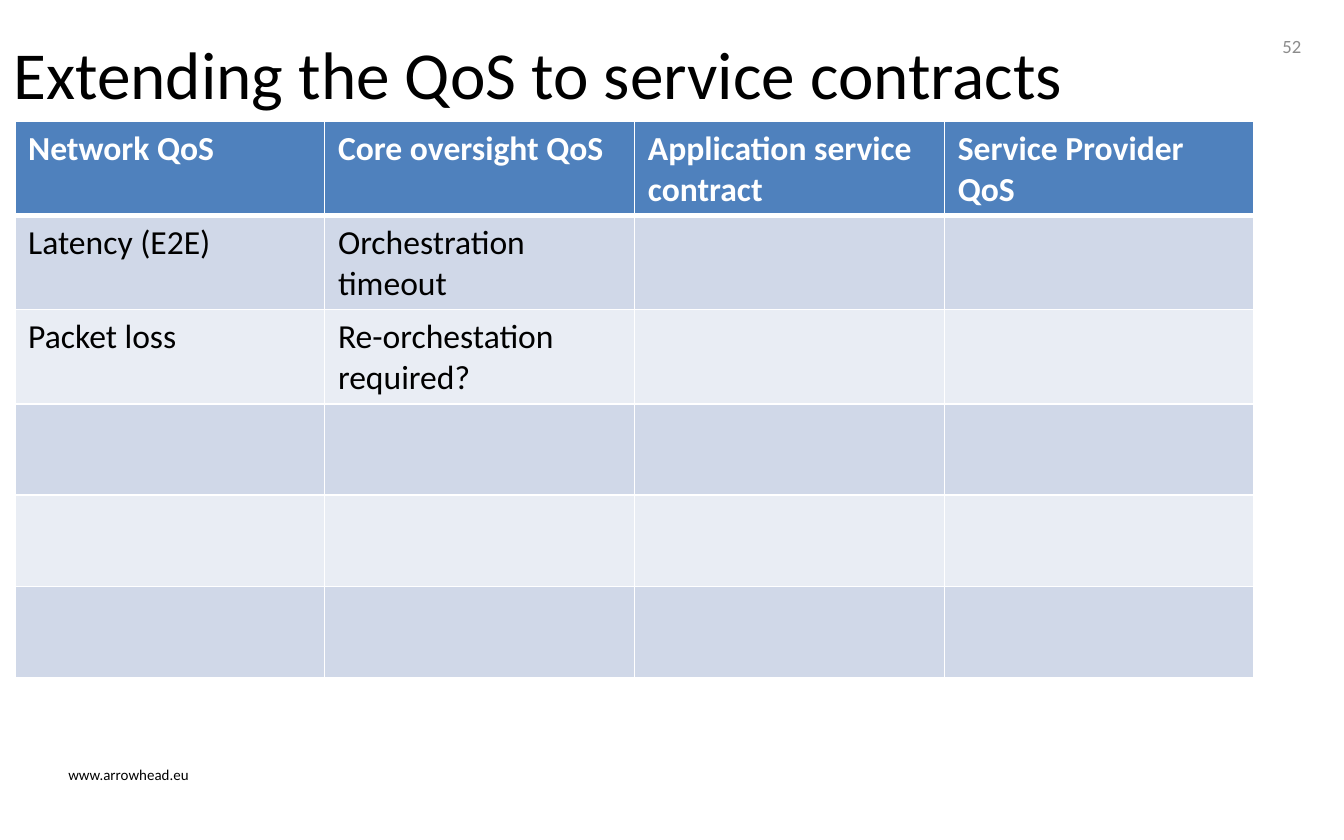
import pptx
import pptx.dml.color
import pptx.enum.text
import pptx.oxml
import pptx.oxml.ns
import pptx.util

Pt = pptx.util.Pt
ANCHOR = pptx.enum.text.MSO_ANCHOR
ALIGN = pptx.enum.text.PP_ALIGN
FONT = "Calibri"
WHITE, BLACK, GREY = "FFFFFF", "000000", "8C8C8C"
HEADER_FILL = "4F81BD"
BAND_FILLS = ["D0D8E8", "E9EDF4"]
QOS_ROWS = [
    ["Network QoS", "Core oversight QoS", "Application service contract", "Service Provider QoS"],
    ["Latency (E2E)", "Orchestration timeout", "", ""],
    ["Packet loss", "Re-orchestation required?", "", ""],
    [""] * 4,
    [""] * 4,
    [""] * 4,
]


def color(value):
    return pptx.dml.color.RGBColor.from_string(value)


def write(frame, text, size, ink, align=ALIGN.LEFT, bold=False):
    para = frame.paragraphs[0]
    para.alignment = align
    para.font.size = Pt(size)
    if text:
        span = para.add_run()
        span.text = text
        span.font.name = FONT
        span.font.size = Pt(size)
        span.font.bold = bold
        span.font.color.rgb = color(ink)


def add_title(page, box, text):
    title = page.shapes.title
    title.left, title.top, title.width, title.height = map(Pt, box)
    frame = title.text_frame
    frame.word_wrap = True
    frame.auto_size = pptx.enum.text.MSO_AUTO_SIZE.NONE
    frame.vertical_anchor = ANCHOR.TOP
    write(frame, text, 36, BLACK)


def add_label(page, box, text, size, ink, align=ALIGN.LEFT, anchor=ANCHOR.TOP):
    frame = page.shapes.add_textbox(*map(Pt, box)).text_frame
    frame.word_wrap = True
    frame.vertical_anchor = anchor
    write(frame, text, size, ink, align)


def add_borders(cell, bottom_width):
    properties = cell._tc.get_or_add_tcPr()
    widths = {"lnL": 1, "lnR": 1, "lnT": 1, "lnB": bottom_width}
    for position, (side, width) in enumerate(widths.items()):
        line = pptx.oxml.parse_xml(
            f'<a:{side} {pptx.oxml.ns.nsdecls("a")} w="{Pt(width)}">'
            f'<a:solidFill><a:srgbClr val="{WHITE}"/></a:solidFill></a:{side}>'
        )
        properties.insert(position, line)


def add_qos_table(page, box, rows):
    left, top, width, height = box
    header_height = 43
    body_height = (height - header_height) / (len(rows) - 1)
    column_count = len(rows[0])
    table = page.shapes.add_table(len(rows), column_count, *map(Pt, box)).table
    for column in table.columns:
        column.width = Pt(width / column_count)
    for index, texts in enumerate(rows):
        header = index == 0
        table.rows[index].height = Pt(header_height if header else body_height)
        fill = HEADER_FILL if header else BAND_FILLS[(index - 1) % 2]
        for cell, text in zip(table.rows[index].cells, texts):
            cell.fill.solid()
            cell.fill.fore_color.rgb = color(fill)
            add_borders(cell, 3 if header else 1)
            write(cell.text_frame, text, 18, WHITE if header else BLACK, bold=header)


def main():
    deck = pptx.Presentation()
    deck.slide_width, deck.slide_height = Pt(720), Pt(450)
    page = deck.slides.add_slide(deck.slide_layouts[5])
    add_label(page, (29.5, 406.8, 312.5, 17), "www.arrowhead.eu", 8, BLACK)
    add_label(page, (536.4, 13, 167.8, 23.8), "52", 10, GREY, ALIGN.RIGHT, ANCHOR.MIDDLE)
    add_title(page, (0, 13.7, 586, 41), "Extending the QoS to service contracts")
    add_qos_table(page, (7.9, 65, 664, 288), QOS_ROWS)
    deck.save("out.pptx")


if __name__ == "__main__":
    main()
